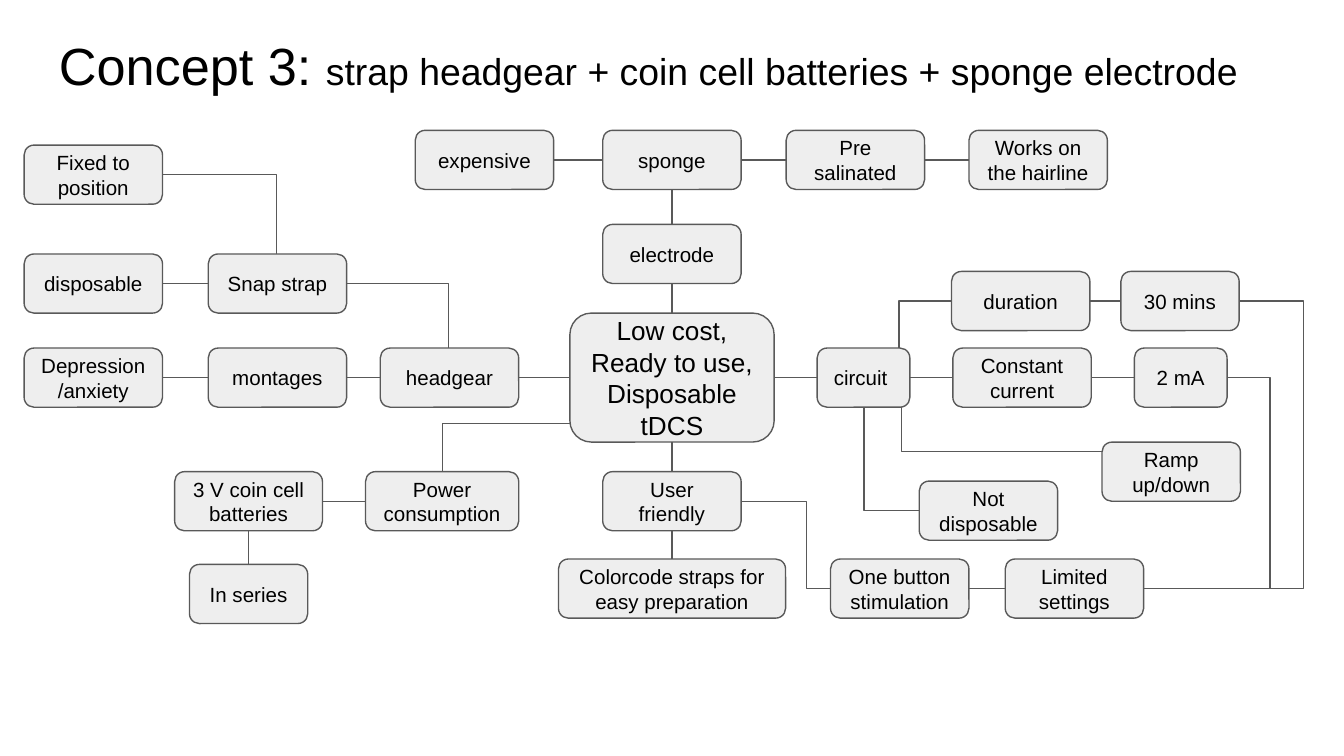
from pptx import Presentation
from pptx.dml.color import RGBColor
from pptx.enum.shapes import MSO_CONNECTOR, MSO_SHAPE
from pptx.enum.text import MSO_ANCHOR, PP_ALIGN
from pptx.oxml import parse_xml
from pptx.oxml.ns import nsdecls
from pptx.util import Inches, Pt

COLORS = {"box": "EEEEEE", "line": "595959", "text": "000000"}
FONT = "Arial"
SLIDE_WIDTH = 10
MIDDLE = SLIDE_WIDTH / 2
BOX_WIDTH, BOX_HEIGHT = 1.03, 0.44
GOAL_WIDTH, GOAL_HEIGHT = 1.52, 0.96
STRAPS_WIDTH = 1.69
TOP, LEFT, BOTTOM, RIGHT = range(4)  # connection sites of a rounded rectangle

ROWS = {
    "sponge": 0.97, "position": 1.08, "electrode": 1.67, "strap": 1.89,
    "duration": 2.02, "main": 2.59, "ramp": 3.29, "user": 3.51,
    "disposal": 3.58, "settings": 4.16, "series": 4.20,
}
COLUMNS = {
    "far left": 0.18, "left": 1.55, "headgear": 2.83,
    "centre": MIDDLE - BOX_WIDTH / 2, "circuit": 6.08, "right": 7.09,
}

# name: (text, left, row, width)
BOXES = {
    "circuit": ("circuit ", COLUMNS["circuit"], "main", 0.69),
    "current": ("Constant current", COLUMNS["right"], "main", BOX_WIDTH),
    "2 mA": ("2 mA", 8.44, "main", 0.69),
    "duration": ("duration", 7.08, "duration", BOX_WIDTH),
    "30 mins": ("30 mins", 8.34, "duration", 0.88),
    "headgear": ("headgear", COLUMNS["headgear"], "main", BOX_WIDTH),
    "ramp": ("Ramp up/down", 8.2, "ramp", BOX_WIDTH),
    "strap": ("Snap strap", COLUMNS["left"], "strap", BOX_WIDTH),
    "disposable": ("disposable", COLUMNS["far left"], "strap", BOX_WIDTH),
    "position": ("Fixed to position", COLUMNS["far left"], "position", BOX_WIDTH),
    "montages": ("montages", COLUMNS["left"], "main", BOX_WIDTH),
    "depression": ("Depression/anxiety", COLUMNS["far left"], "main", BOX_WIDTH),
    "electrode": ("electrode", COLUMNS["centre"], "electrode", BOX_WIDTH),
    "sponge": ("sponge", COLUMNS["centre"], "sponge", BOX_WIDTH),
    "salinated": ("Pre salinated", 5.85, "sponge", BOX_WIDTH),
    "hairline": ("Works on the hairline", 7.21, "sponge", BOX_WIDTH),
    "expensive": ("expensive", 3.09, "sponge", BOX_WIDTH),
    "not disposable": ("Not disposable", 6.84, "disposal", BOX_WIDTH),
    "user": ("User\nfriendly", COLUMNS["centre"], "user", BOX_WIDTH),
    "colorcode": ("Colorcode straps for easy preparation",
                  MIDDLE - STRAPS_WIDTH / 2, "settings", STRAPS_WIDTH),
    "button": ("One button stimulation", 6.18, "settings", BOX_WIDTH),
    "settings": ("Limited settings", 7.48, "settings", BOX_WIDTH),
    "series": ("In series", 1.41, "series", 0.88),
    "power": ("Power consumption", 2.72, "user", 1.14),
    "batteries": ("3 V coin cell batteries", 1.3, "user", 1.1),
}

ACROSS = [
    ("goal", "circuit"), ("circuit", "current"), ("current", "2 mA"),
    ("duration", "30 mins"), ("headgear", "goal"), ("disposable", "strap"),
    ("montages", "headgear"), ("depression", "montages"),
    ("sponge", "salinated"), ("salinated", "hairline"),
    ("expensive", "sponge"), ("button", "settings"), ("batteries", "power"),
]
DOWN = [
    ("electrode", "goal"), ("sponge", "electrode"), ("goal", "user"),
    ("user", "colorcode"), ("batteries", "series"),
]

# start, x of the vertical stretch, end
ELBOWS = [
    ((6.7, 2.59), 6.69, (7.08, 2.24)),
    ((6.65, 3.03), 6.71, (8.21, 3.36)),
    ((3.34, 2.59), 3.34, (2.58, 2.11)),
    ((2.06, 1.89), 2.06, (1.21, 1.3)),
    ((6.43, 3.03), 6.43, (6.84, 3.8)),
    ((5.52, 3.73), 6, (6.18, 4.38)),
    ((8.51, 4.38), 9.7, (9.22, 2.24)),
    ((8.51, 4.38), 9.45, (9.13, 2.81)),
    ((3.29, 3.51), 3.29, (4.24, 3.15)),
]


def color(name):
    return RGBColor.from_string(COLORS[name])


def add_run(paragraph, text, size):
    run = paragraph.add_run()
    run.text = text
    run.font.name = FONT
    run.font.size = Pt(size)
    run.font.color.rgb = color("text")


def set_margins(frame, margin=0.1):
    frame.margin_left = frame.margin_right = Inches(margin)
    frame.margin_top = frame.margin_bottom = Inches(margin)


def add_title(slide, parts):
    shape = slide.shapes.add_textbox(
        Inches(0.34), Inches(0.15), Inches(9.32), Inches(0.56))
    frame = shape.text_frame
    frame.word_wrap = True
    set_margins(frame)
    for text, size in parts:
        add_run(frame.paragraphs[0], text, size)


def add_box(slide, text, left, top, width, height=BOX_HEIGHT, size=11):
    shape = slide.shapes.add_shape(
        MSO_SHAPE.ROUNDED_RECTANGLE,
        Inches(left), Inches(top), Inches(width), Inches(height))
    shape.shadow.inherit = False
    shape.fill.solid()
    shape.fill.fore_color.rgb = color("box")
    shape.line.color.rgb = color("line")
    shape.line.width = Pt(0.75)
    frame = shape.text_frame
    frame.word_wrap = True
    frame.vertical_anchor = MSO_ANCHOR.MIDDLE
    set_margins(frame)
    for index, line in enumerate(text.split("\n")):
        paragraph = frame.add_paragraph() if index else frame.paragraphs[0]
        paragraph.alignment = PP_ALIGN.CENTER
        add_run(paragraph, line, size)
    return shape


def add_line(slide, kind, start=(0, 0), end=(0, 0)):
    connector = slide.shapes.add_connector(
        kind, *(Inches(length) for length in (*start, *end)))
    connector.line.color.rgb = color("line")
    connector.line.width = Pt(0.75)
    connector._element.spPr.append(parse_xml(f"<a:effectLst {nsdecls('a')}/>"))
    return connector


def link(slide, first, first_site, second, second_site):
    connector = add_line(slide, MSO_CONNECTOR.STRAIGHT)
    connector.begin_connect(first, first_site)
    connector.end_connect(second, second_site)


def add_elbow(slide, start, turn, end):
    """Run level from start to x = turn, then upright, then level to end."""
    connector = add_line(slide, MSO_CONNECTOR.ELBOW, start, end)
    share = round((turn - start[0]) / (end[0] - start[0]) * 100000)
    guides = connector._element.spPr.prstGeom.get_or_add_avLst()
    guides.append(parse_xml(
        f'<a:gd {nsdecls("a")} name="adj1" fmla="val {share}"/>'))


def main():
    presentation = Presentation()
    presentation.slide_width = Inches(SLIDE_WIDTH)
    presentation.slide_height = Inches(SLIDE_WIDTH * 9 / 16)
    slide = presentation.slides.add_slide(presentation.slide_layouts[6])

    add_title(slide, [
        ("Concept 3: ", 28),
        ("strap headgear + coin cell batteries + sponge electrode", 20),
    ])
    for elbow in ELBOWS:
        add_elbow(slide, *elbow)

    shapes = {"goal": add_box(
        slide, "Low cost, Ready to use, Disposable tDCS",
        MIDDLE - GOAL_WIDTH / 2, 2.33, GOAL_WIDTH, GOAL_HEIGHT, size=14)}
    for name, (text, left, row, width) in BOXES.items():
        shapes[name] = add_box(slide, text, left, ROWS[row], width)

    for first, second in ACROSS:
        link(slide, shapes[first], RIGHT, shapes[second], LEFT)
    for upper, lower in DOWN:
        link(slide, shapes[upper], BOTTOM, shapes[lower], TOP)

    presentation.save("out.pptx")


if __name__ == "__main__":
    main()
